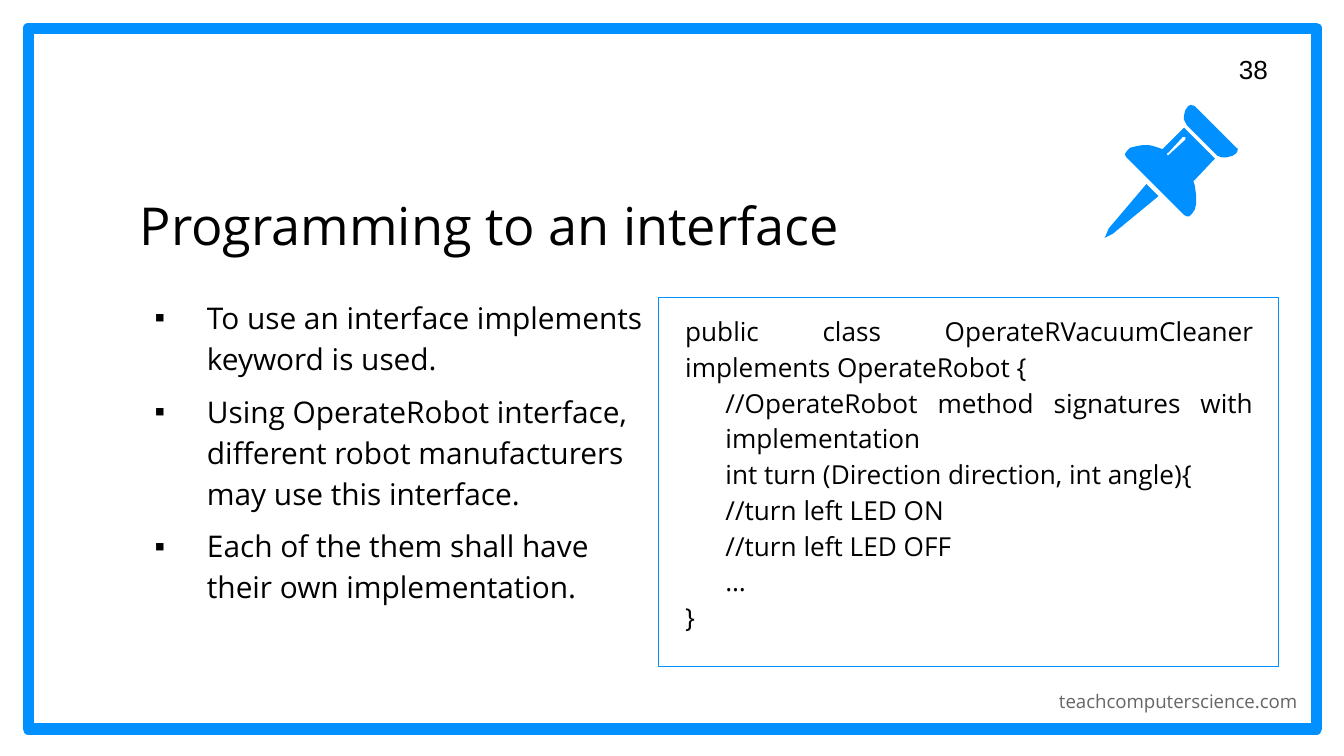
from lxml import etree
from pptx import Presentation
from pptx import util as u
from pptx.dml.color import RGBColor
from pptx.enum import shapes, text
from pptx.oxml.ns import qn

PX = 4572  # 200 px to the inch
BLUE, BLACK, GREY, WHITE = "0090FF", "000000", "666666", "FFFFFF"
FONT = "Open Sans"
LEFT, RIGHT, JUSTIFY = text.PP_ALIGN.LEFT, text.PP_ALIGN.RIGHT, text.PP_ALIGN.JUSTIFY
TOP, MIDDLE, BOTTOM = (text.MSO_ANCHOR.TOP, text.MSO_ANCHOR.MIDDLE,
                       text.MSO_ANCHOR.BOTTOM)

BULLETS = [
    "To use an interface implements keyword is used.",
    "Using OperateRobot interface, different robot manufacturers may use this interface.",
    "Each of the them shall have their own implementation.",
]
# (indent level, line)
CODE = [
    (0, "public class OperateRVacuumCleaner implements OperateRobot {"),
    (1, "//OperateRobot method signatures with implementation"),
    (1, "int turn (Direction direction, int angle){"),
    (1, "//turn left LED ON"),
    (1, "//turn left LED OFF"),
    (1, "…"),
    (0, "}"),
]
# Pushpin outlines on a grid of 2 px
GRID = 2 * PX
NEEDLE = [(31, 59), (3, 92), (0, 99), (6, 96), (40, 68)]
HEAD = [(64, 0), (62, 1), (60, 4), (59, 8), (59, 11), (61, 15), (84, 38), (87, 39),
        (91, 39), (95, 38), (98, 36), (99, 34), (99, 32), (98, 32), (67, 1)]
COLLAR = [(59, 17), (43, 33), (40, 32), (37, 31), (33, 30), (28, 30), (23, 31),
          (19, 32), (16, 35), (15, 37), (16, 39), (59, 82), (61, 83), (63, 83),
          (65, 81), (67, 78), (68, 74), (68, 67), (67, 60), (66, 57), (82, 40)]
SHINE = [(59, 24), (60, 24), (60, 26), (48, 37), (47, 38), (46, 36), (47, 36), (58, 24)]


def rgb(color):
    return RGBColor.from_string(color)


def place(sp, box):
    sp.left, sp.top, sp.width, sp.height = (v * PX for v in box)


def write(sp, lines, size, color=BLACK, font=FONT, align=LEFT, anchor=TOP):
    tf = sp.text_frame
    tf.text = "\n".join(lines)
    tf.word_wrap = True
    tf.auto_size = text.MSO_AUTO_SIZE.NONE
    tf.vertical_anchor = anchor
    tf.margin_left = tf.margin_right = tf.margin_top = tf.margin_bottom = 20 * PX
    for p in tf.paragraphs:
        p.alignment = align
        for r in p.runs:
            r.font.size, r.font.name = u.Pt(size), font
            r.font.color.rgb = rgb(color)
    return tf.paragraphs


def textbox(s, box, lines, size, **style):
    sp = s.shapes.add_textbox(*(v * PX for v in box))
    return write(sp, lines, size, **style)


def indent(p, margin, first=0):
    pPr = p._p.get_or_add_pPr()
    pPr.set("marL", str(margin * PX))
    pPr.set("indent", str(first * PX))
    return pPr


def outline(s, box, width, fill=None):
    sp = s.shapes.add_shape(shapes.MSO_SHAPE.RECTANGLE, *(v * PX for v in box))
    sp.shadow.inherit = False
    sp.line.color.rgb = rgb(BLUE)
    sp.line.width = u.Pt(width)
    if fill:
        sp.fill.solid()
        sp.fill.fore_color.rgb = rgb(fill)
    else:
        sp.fill.background()


def frame(s, box):
    """Border with the site address and the page number in its corners."""
    x, y, w, h = box
    outline(s, box, 6, WHITE)
    textbox(s, (x + w - 425, y + h - 78, 416, 58), ["teachcomputerscience.com"], 10,
            color=GREY, align=RIGHT)
    textbox(s, (x + w - 135, y + 18, 120, 86), ["38"], 14, font="Arial", anchor=MIDDLE)


def title(s, box):
    sp = s.shapes.title
    place(sp, box)
    write(sp, ["Programming to an interface"], 28, anchor=BOTTOM)


def bullet_list(s, box):
    sp = s.placeholders[1]
    place(sp, box)
    for i, p in enumerate(write(sp, BULLETS, 16)):
        pPr = indent(p, 100, -78)
        clr = etree.SubElement(pPr, qn("a:buClr"))
        etree.SubElement(clr, qn("a:srgbClr"), val=BLACK)
        etree.SubElement(pPr, qn("a:buFont"), typeface="Arial")
        etree.SubElement(pPr, qn("a:buChar"), char="▪")
        p.line_spacing = 1.15
        p.space_before = u.Pt(6 if i else 0)


def pushpin(s, x, y):
    for contours in ([NEEDLE], [HEAD], [COLLAR, SHINE]):
        fb = s.shapes.build_freeform(*contours[0][0], scale=GRID)
        for i, points in enumerate(contours):
            if i:
                fb.move_to(*points[0])
            fb.add_line_segments(points[1:], close=True)
        sp = fb.convert_to_shape(x * PX, y * PX)
        sp.shadow.inherit = False
        sp.fill.solid()
        sp.fill.fore_color.rgb = rgb(BLUE)
        sp.line.fill.background()


def code_panel(s, box):
    x, y, w, h = box
    lines = [line for _, line in CODE]
    paragraphs = textbox(s, (x + 20, y, w - 38, h - 112), lines, 14, align=JUSTIFY)
    for p, (level, _) in zip(paragraphs, CODE):
        indent(p, 60 * level)
        p.line_spacing = 1.14
    outline(s, box, 0.75)


def main():
    prs = Presentation()
    prs.slide_width, prs.slide_height = 2000 * PX, 1125 * PX
    s = prs.slides.add_slide(prs.slide_layouts[1])
    frame(s, (42, 42, 1917, 1043))
    # The frame is filled, so the placeholders move in front of it.
    for sp in list(s.placeholders):
        s.shapes._spTree.append(sp._element)
    title(s, (188, 245, 1156, 156))
    bullet_list(s, (188, 418, 792, 438))
    pushpin(s, 1644, 156)
    code_panel(s, (980, 443, 923, 549))
    prs.save("out.pptx")


if __name__ == "__main__":
    main()
